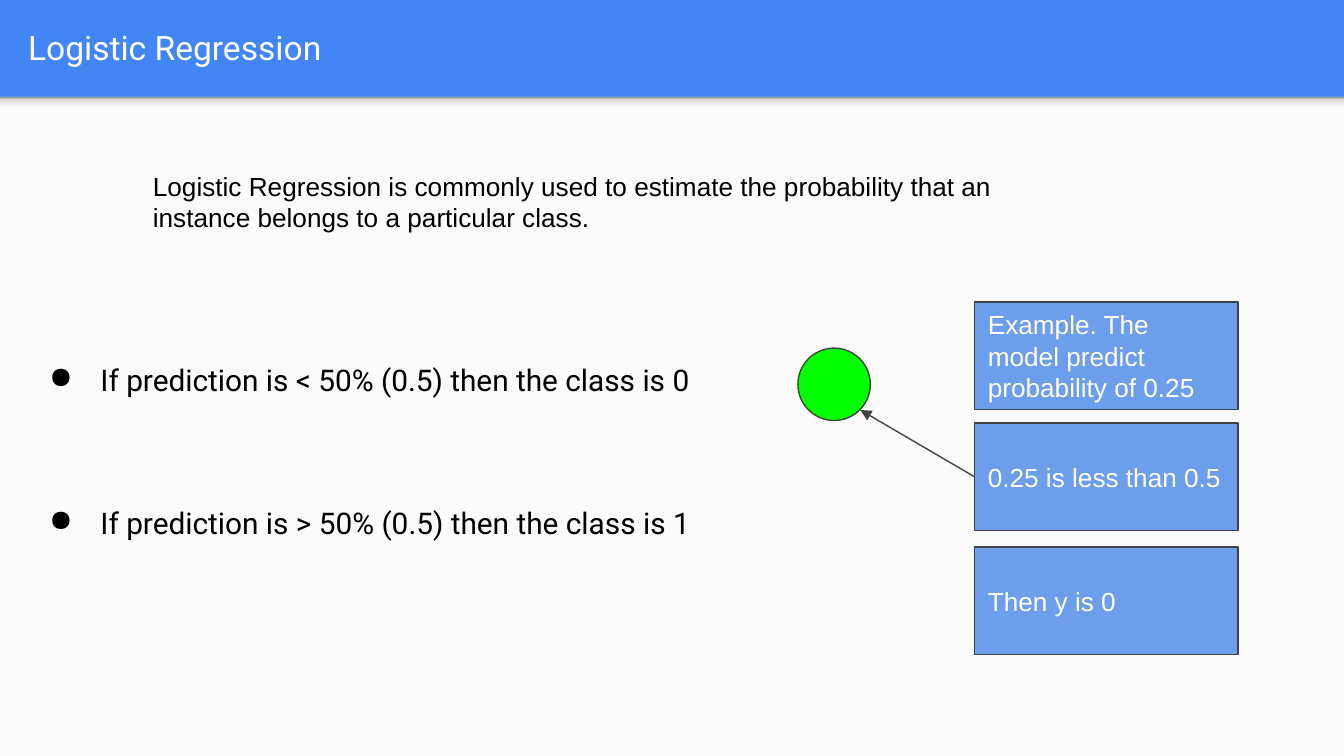
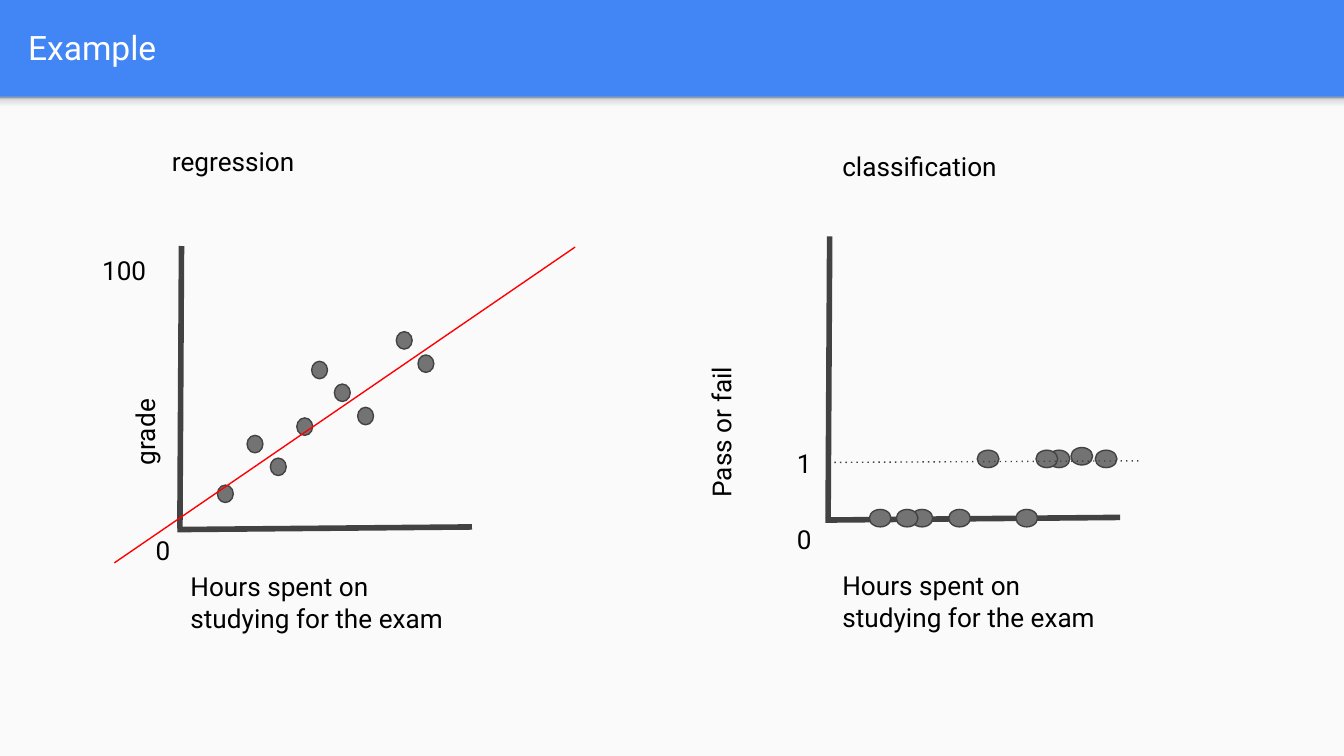
import copy

import pptx
import pptx.dml.color
import pptx.enum.dml
import pptx.enum.shapes
import pptx.enum.text
import pptx.oxml
import pptx.oxml.ns
import pptx.util

Cm, Pt = pptx.util.Cm, pptx.util.Pt
RGBColor = pptx.dml.color.RGBColor
SHAPE = pptx.enum.shapes.MSO_SHAPE
ANCHOR = pptx.enum.text.MSO_ANCHOR
LEFT = pptx.enum.text.PP_ALIGN.LEFT
qn = pptx.oxml.ns.qn

BLUE = RGBColor(0x42, 0x85, 0xF4)
PALE = RGBColor(0xFA, 0xFA, 0xFA)
SKY = RGBColor(0x6D, 0x9E, 0xEB)
GREEN = RGBColor(0x00, 0xFF, 0x00)
RED = RGBColor(0xFF, 0x00, 0x00)
GREY = RGBColor(0x73, 0x73, 0x73)
DARK = RGBColor(0x42, 0x42, 0x42)
BLACK = RGBColor(0x00, 0x00, 0x00)
WHITE = RGBColor(0xFF, 0xFF, 0xFF)
SHADE = [(0, RGBColor(0xF9, 0xF9, 0xF9)), (0.36, RGBColor(0xF9, 0xF9, 0xF9)),
         (0.8, RGBColor(0xDE, 0xDE, 0xDE)), (1, RGBColor(0x99, 0x99, 0x99))]
WIDTH, HEIGHT, BAND = 25.4, 14.29, 1.83


def draw(slide, kind, box, fill=None, edge=DARK):
    """Add a preset shape; the box is left, top, width, height in cm."""
    shape = slide.shapes.add_shape(kind, *map(Cm, box))
    shape.shadow.inherit = False
    if fill is not None:
        shape.fill.solid()
        shape.fill.fore_color.rgb = fill
    if edge is None:
        shape.line.fill.background()
    else:
        shape.line.color.rgb = edge
        shape.line.width = Pt(0.75)
    return shape


def write(shape, text, font="Roboto", size=14, color=BLACK, anchor=ANCHOR.TOP):
    frame = shape.text_frame
    frame.text = text
    frame.word_wrap = True
    frame.auto_size = pptx.enum.text.MSO_AUTO_SIZE.NONE
    frame.vertical_anchor = anchor
    frame.margin_left = frame.margin_right = Cm(0.25)
    frame.margin_top = frame.margin_bottom = Cm(0.25)
    for para in frame.paragraphs:
        para.alignment = LEFT
        for run in para.runs:
            run.font.name = font
            run.font.size = Pt(size)
            run.font.color.rgb = color


deck = pptx.Presentation()
deck.slide_width, deck.slide_height = Cm(WIDTH), Cm(HEIGHT)
back = deck.slide_master.background.fill
back.solid()
back.fore_color.rgb = BLUE

# Shared frame: pale panel, soft edge under the blue band, title
pages = []
for name in ("Logistic Regression", "Example"):
    page = deck.slides.add_slide(deck.slide_layouts[5])
    draw(page, SHAPE.RECTANGLE, (0, BAND, WIDTH, HEIGHT - BAND), PALE, None)
    strip = draw(page, SHAPE.RECTANGLE, (0, BAND, WIDTH, 0.3), None, None)
    strip.fill.gradient()
    strip.fill.gradient_angle = 90
    stops = strip._element.spPr.find(".//" + qn("a:gsLst"))
    while len(stops) < len(SHADE):
        stops.append(copy.deepcopy(stops[0]))
    for stop, (place, color) in zip(strip.fill.gradient_stops, SHADE):
        stop.position = place
        stop.color.rgb = color
    title = page.shapes.title
    title.left, title.top = Cm(0.28), Cm(0.05)
    title.width, title.height = Cm(24.51), Cm(1.68)
    write(title, name, size=18, color=WHITE, anchor=ANCHOR.MIDDLE)
    pages.append(page)
rules, plots = pages

# Slide 1: class rules and a worked case
intro = rules.shapes.add_textbox(Cm(2.64), Cm(2.97), Cm(18.08), Cm(8.53))
write(intro, "Logistic Regression is commonly used to estimate the probability "
      "that an instance belongs to a particular class.", font="Arial")

steps = []
for top, text in ((5.71, "Example. The model predict probability of 0.25"),
                  (8, "0.25 is less than 0.5"),
                  (10.34, "Then y is 0")):
    step = draw(rules, SHAPE.RECTANGLE, (18.42, top, 4.98, 2.03), SKY)
    write(step, text, font="Arial", color=WHITE, anchor=ANCHOR.MIDDLE)
    steps.append(step)
draw(rules, SHAPE.OVAL, (15.08, 6.58, 1.37, 1.37), GREEN)

bullets = rules.shapes.add_textbox(Cm(0.38), Cm(6.58), Cm(14.73), Cm(5.28))
write(bullets, "If prediction is < 50% (0.5) then the class is 0\n"
      "If prediction is > 50% (0.5) then the class is 1", size=16)
for para in bullets.text_frame.paragraphs:
    props = para._p.get_or_add_pPr()
    props.set("marL", str(Cm(1.27)))
    props.set("indent", str(Cm(-0.97)))
    mark = pptx.oxml.parse_xml(
        f'<a:buChar {pptx.oxml.ns.nsdecls("a")} char="●"/>')
    props.append(mark)
bullets.text_frame.paragraphs[1].space_before = Pt(57.5)

# Slide 2: two plots; each line is page, from, to, colour, weight
lines = [(rules, (18.42, 9.02), (16.26, 7.75), DARK, 0.75)]
for right, down in ((0, 0), (12.25, -0.18)):
    for start, end in (((3.43, 4.65), (3.4, 9.96)),
                       ((8.92, 9.96), (3.35, 10.01))):
        lines.append((plots, (start[0] + right, start[1] + down),
                      (end[0] + right, end[1] + down), DARK, 3))

HOURS = "Hours spent on studying for the exam"
for text, left, top, width, height, turn in (
        (HOURS, 3.35, 10.54, 5.69, 1.22, 0),
        (HOURS, 15.67, 10.52, 5.69, 1.22, 0),
        ("grade", -0.3, 5.69, 5.84, 0.86, 270),
        ("Pass or fail", 10.59, 6.3, 5.84, 0.86, 270),
        ("0", 2.69, 9.86, 0.53, 0.86, 0),
        ("0", 14.81, 9.65, 0.53, 0.86, 0),
        ("100", 1.68, 4.55, 1.52, 0.86, 0),
        ("1", 14.81, 8.2, 0.53, 0.86, 0),
        ("regression", 3, 2.49, 6.32, 1.22, 0),
        ("classification", 15.67, 2.59, 6.32, 1.22, 0)):
    label = plots.shapes.add_textbox(Cm(left), Cm(top), Cm(width), Cm(height))
    label.rotation = turn
    write(label, text)

grades = [(4.11, 9.17), (4.67, 8.23), (5.11, 8.66), (5.61, 7.9), (5.89, 6.83),
          (6.32, 7.26), (6.76, 7.7), (7.49, 6.27), (7.9, 6.71)]
fails = [(left, 9.63) for left in (16.43, 17.22, 17.93, 19.2, 16.94)]
passes = [(18.47, 8.51), (19.81, 8.51), (20.7, 8.51), (20.24, 8.46),
          (19.58, 8.51)]
lines.append((plots, (2.16, 10.64), (10.87, 4.67), RED, 0.75))
lines.append((plots, (15.77, 8.74), (21.59, 8.71), DARK, 0.75))

links = []
for page, start, end, color, weight in lines:
    link = page.shapes.add_connector(
        pptx.enum.shapes.MSO_CONNECTOR.STRAIGHT, *map(Cm, start + end))
    link.line.color.rgb = color
    link.line.width = Pt(weight)
    links.append(link)
arrow, fit, level = links[0], links[-2], links[-1]
arrow.begin_connect(steps[1], 1)
arrow.line._get_or_add_ln().append(pptx.oxml.parse_xml(
    f'<a:tailEnd {pptx.oxml.ns.nsdecls("a")} type="triangle"/>'))
level.line.dash_style = pptx.enum.dml.MSO_LINE.ROUND_DOT
level.line._get_or_add_ln().find(qn("a:prstDash")).set("val", "dot")
for link in links:
    link._element.spPr.append(pptx.oxml.parse_xml(
        f'<a:effectLst {pptx.oxml.ns.nsdecls("a")}/>'))

for spots, width in ((grades, 0.3), (fails + passes, 0.41)):
    for left, top in spots:
        draw(plots, SHAPE.OVAL, (left, top, width, 0.33), GREY)

# The fitted line and the pass level lie over the dots
for link in (fit, level):
    plots.shapes._spTree.append(link._element)

deck.save("out.pptx")
